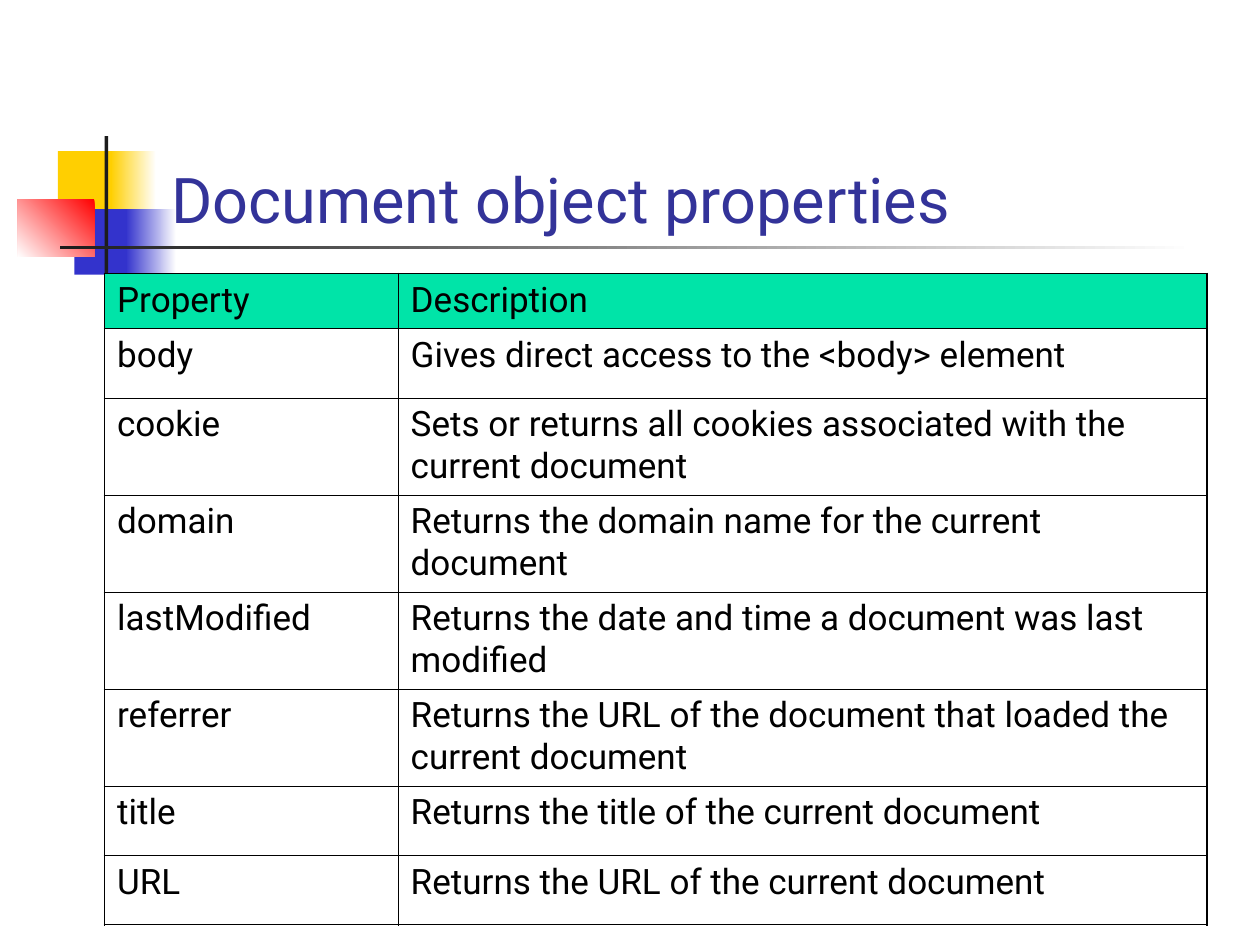
from dataclasses import dataclass

from lxml.etree import SubElement
from pptx import Presentation
from pptx.dml.color import RGBColor as RGB
from pptx.enum.shapes import MSO_SHAPE as SHAPE
from pptx.enum.text import MSO_ANCHOR as ANCHOR
from pptx.oxml.ns import qn
from pptx.util import Inches, Pt


@dataclass(frozen=True)
class Theme:
    font: str = "Roboto"
    title_size: float = 36
    cell_size: float = 20
    title: str = "333399"
    text: str = "000000"
    header: str = "00E4A8"
    yellow: str = "FFCF01"
    blue: str = "3333CC"
    red: str = "FF0000"
    dark: str = "1C1C1C"
    white: str = "FFFFFF"
    outer: float = 1.08
    inner: float = 0.45


T = Theme()
TITLE = "Document object properties"
ROWS = [
    ("Property", "Description"),
    ("body", "Gives direct access to the <body> element"),
    ("cookie", "Sets or returns all cookies associated with the current document"),
    ("domain", "Returns the domain name for the current document"),
    ("lastModified", "Returns the date and time a document was last modified"),
    ("referrer", "Returns the URL of the document that loaded the current document"),
    ("title", "Returns the title of the current document"),
    ("URL", "Returns the URL of the current document"),
]
COLS = [2.33, 6.42]
HEADER_H, ONE_LINE_H, TWO_LINE_H = 0.44, 0.55, 0.77
LINE_CHARS = 45
DECOR = [
    ((0.46, 1.2, 0.48, 0.52), (T.yellow,), 0),
    ((0.88, 1.2, 0.36, 0.52), (T.white, T.yellow), 180),
    ((0.59, 1.66, 0.46, 0.52), (T.blue,), 0),
    ((1, 1.66, 0.4, 0.52), (T.white, T.blue), 180),
    ((0.14, 1.58, 0.61, 0.46), (T.red, T.white), 225),
    ((0.83, 1.08, 0.03, 1.15), (T.dark,), 0),
    ((0.48, 1.95, 9, 0.03), (T.white, T.dark), 180),
]


def write(tf, text, *, size, color, anchor=None):
    """Write one formatted paragraph into a text frame."""
    tf.word_wrap = True
    if anchor is not None:
        tf.vertical_anchor = anchor
    r = tf.paragraphs[0].add_run()
    r.text = text
    r.font.name = T.font
    r.font.size = Pt(size)
    r.font.color.rgb = RGB.from_string(color)


def add_block(s, box, colors, angle):
    """Add a borderless rectangle with a solid or two-colour gradient fill."""
    sp = s.shapes.add_shape(SHAPE.RECTANGLE, *map(Inches, box))
    sp.shadow.inherit = False
    sp.line.fill.background()
    if len(colors) == 1:
        sp.fill.solid()
        sp.fill.fore_color.rgb = RGB.from_string(colors[0])
        return
    sp.fill.gradient()
    sp.fill.gradient_angle = angle
    for stop, color in zip(sp.fill.gradient_stops, colors):
        stop.color.rgb = RGB.from_string(color)


def set_borders(cell, widths):
    """Draw the left, right, top and bottom borders of a cell."""
    tc_pr = cell._tc.get_or_add_tcPr()
    for side, width in zip("LRTB", widths):
        ln = SubElement(tc_pr, qn(f"a:ln{side}"), w=str(int(Pt(width))))
        fill = SubElement(ln, qn("a:solidFill"))
        SubElement(fill, qn("a:srgbClr"), val=T.text)


def row_height(i, description):
    """Return the height of a row from its place and text length."""
    if i == 0:
        return HEADER_H
    return TWO_LINE_H if len(description) > LINE_CHARS else ONE_LINE_H


def add_properties(s, left, top):
    """Add the table of properties with a coloured header."""
    heights = [row_height(i, row[1]) for i, row in enumerate(ROWS)]
    table = s.shapes.add_table(
        len(ROWS), len(COLS), *map(Inches, (left, top, sum(COLS), sum(heights)))
    ).table
    table.first_row = table.horz_banding = False
    for col, width in zip(table.columns, COLS):
        col.width = Inches(width)
    for i, (row, height) in enumerate(zip(ROWS, heights)):
        table.rows[i].height = Inches(height)
        for j, text in enumerate(row):
            cell = table.cell(i, j)
            edges = (j == 0, j == len(COLS) - 1, i == 0, i == len(ROWS) - 1)
            set_borders(cell, [T.outer if e else T.inner for e in edges])
            if i == 0:
                cell.fill.solid()
                cell.fill.fore_color.rgb = RGB.from_string(T.header)
            else:
                cell.fill.background()
            write(cell.text_frame, text, size=T.cell_size, color=T.text)


def main():
    """Build the slide and save it."""
    prs = Presentation()
    prs.slide_width, prs.slide_height = Inches(10), Inches(7.5)
    s = prs.slides.add_slide(prs.slide_layouts[6])
    for box, colors, angle in DECOR:
        add_block(s, box, colors, angle)
    sp = s.shapes.add_textbox(*map(Inches, (1.26, 0.67, 8.52, 1.25)))
    write(sp.text_frame, TITLE, size=T.title_size, color=T.title, anchor=ANCHOR.BOTTOM)
    add_properties(s, 0.83, 2.17)
    prs.save("out.pptx")


if __name__ == "__main__":
    main()
